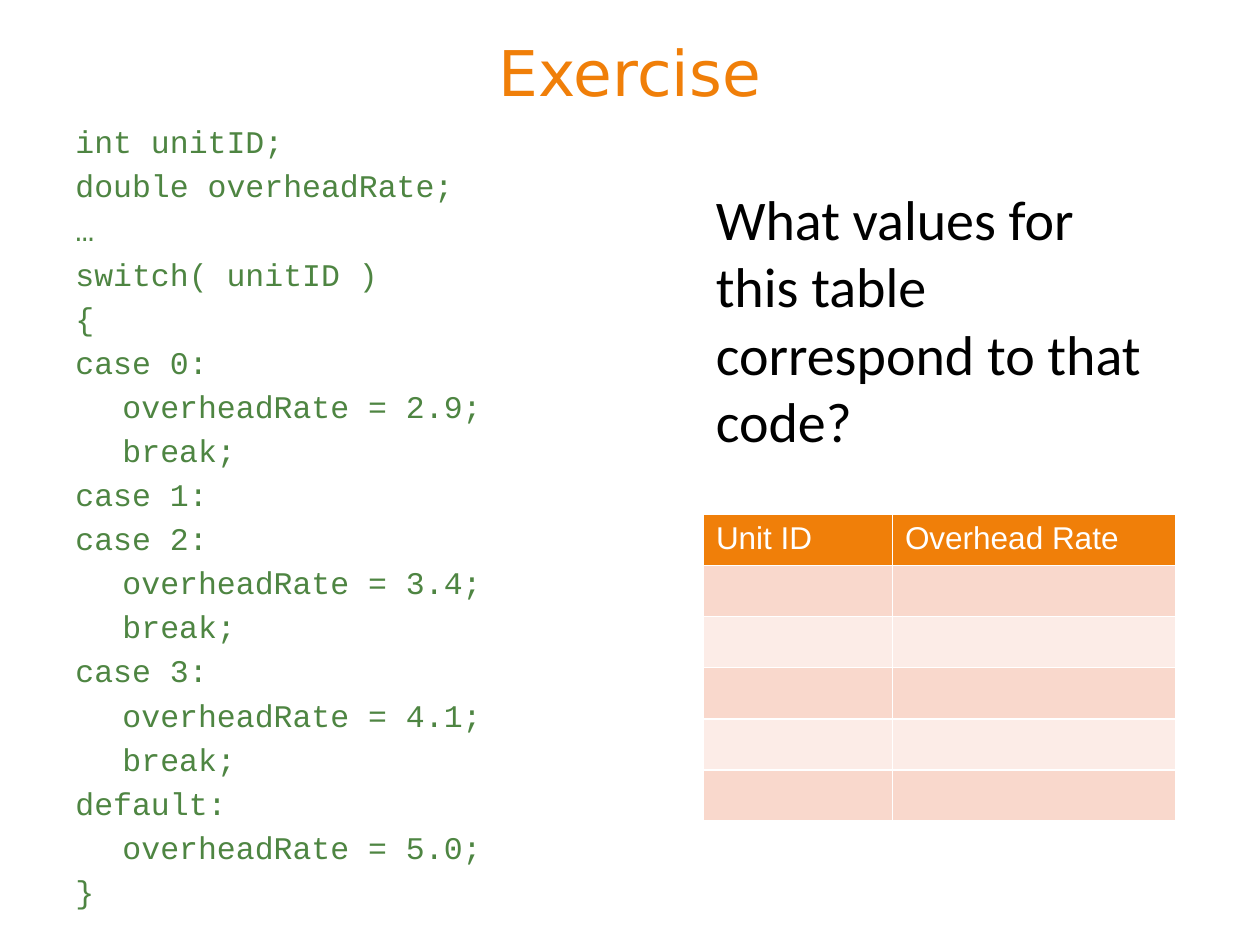
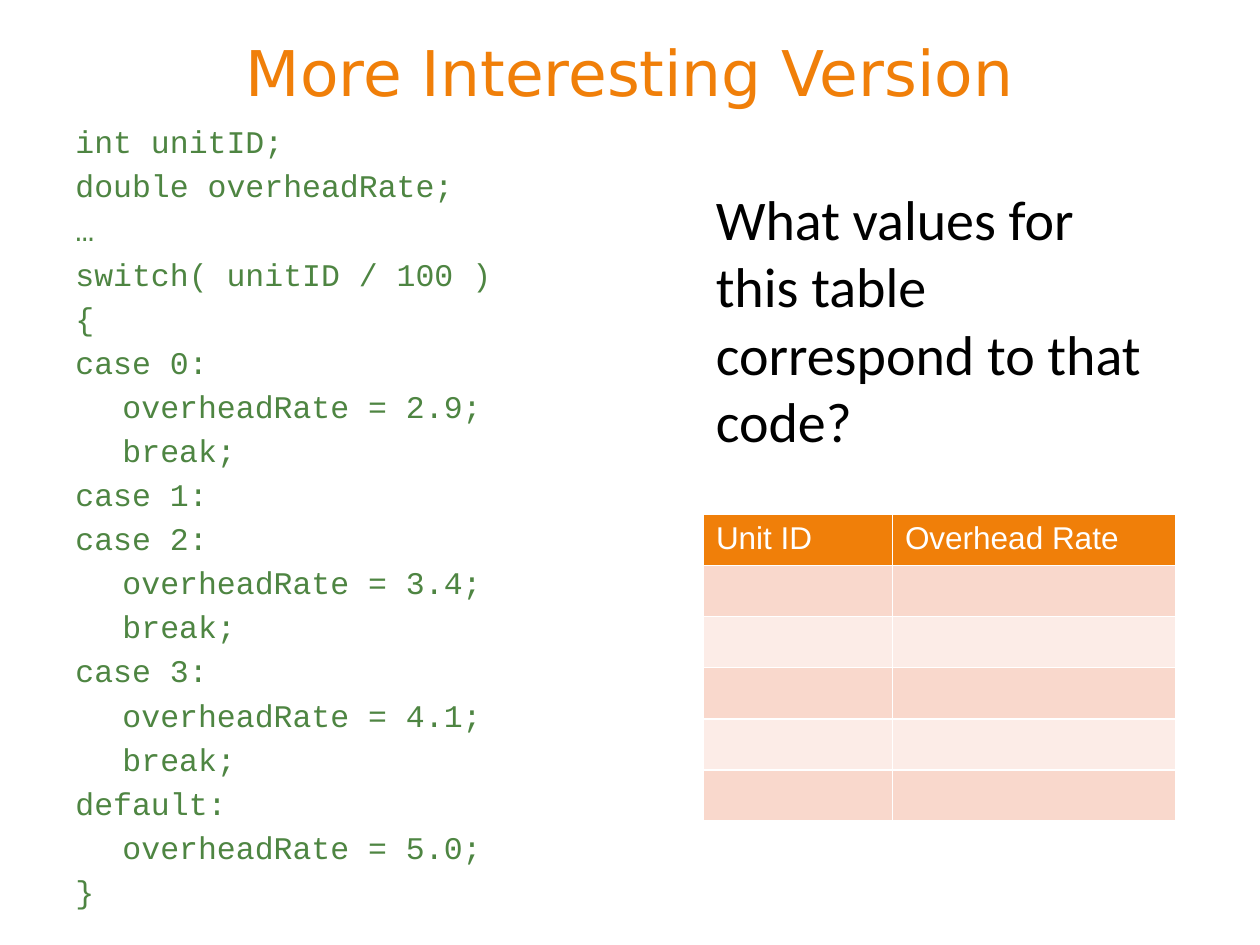
from lxml import etree
from pptx import Presentation
from pptx import util as u
from pptx.dml.color import RGBColor
from pptx.enum import text
from pptx.oxml.ns import qn

ORANGE = RGBColor(0xF0, 0x7F, 0x09)
GREEN = RGBColor(0x4E, 0x85, 0x42)
DARK_BAND = RGBColor(0xF9, 0xD8, 0xCC)
LIGHT_BAND = RGBColor(0xFC, 0xEC, 0xE7)
WHITE = RGBColor(0xFF, 0xFF, 0xFF)
BLACK = RGBColor(0x00, 0x00, 0x00)

RIGHT_COLUMN_LEFT = u.Cm(14.18)
HEADINGS = ["Unit ID", "Overhead Rate"]
COLUMN_WIDTHS = [u.Cm(3.81), u.Cm(5.72)]
ROW_COUNT = 6
ROW_HEIGHT = u.Cm(1.03)
QUESTION = "What values for this table correspond to that code?"
CODE_SIZE = 18
CODE_INDENT = u.Cm(0.95)

CODE = """int unitID;
double overheadRate;
…
switch( {selector} )
{{
case 0:
\toverheadRate = 2.9;
\tbreak;
case 1:
case 2:
\toverheadRate = 3.4;
\tbreak;
case 3:
\toverheadRate = 4.1;
\tbreak;
default:
\toverheadRate = 5.0;
}}"""


def set_font(paragraph, name, size, color):
    paragraph.font.name = name
    paragraph.font.size = u.Pt(size)
    paragraph.font.color.rgb = color


def set_title(slide, title):
    shape = slide.shapes.title
    shape.left, shape.top = u.Cm(1.27), u.Cm(0.76)
    shape.width, shape.height = u.Cm(22.86), u.Cm(1.35)
    frame = shape.text_frame
    frame.text = title
    frame.auto_size = text.MSO_AUTO_SIZE.NONE
    frame.vertical_anchor = text.MSO_ANCHOR.MIDDLE
    paragraph = frame.paragraphs[0]
    paragraph.alignment = text.PP_ALIGN.CENTER
    set_font(paragraph, "DejaVu Sans", 36, ORANGE)


def add_text_frame(slide, left, top, width, height):
    frame = slide.shapes.add_textbox(left, top, width, height).text_frame
    frame.word_wrap = True
    return frame


def add_code(slide, selector):
    frame = add_text_frame(slide, u.Cm(1.27), u.Cm(2.34), u.Cm(11.43), u.Cm(15.24))
    for index, line in enumerate(CODE.format(selector=selector).split("\n")):
        paragraph = frame.add_paragraph() if index else frame.paragraphs[0]
        paragraph.text = line
        # A hanging indent, so that a tab reaches the indented level
        properties = paragraph._p.get_or_add_pPr()
        properties.set("marL", str(CODE_INDENT))
        properties.set("indent", str(-CODE_INDENT))
        if index:
            paragraph.space_before = u.Pt(0.2 * CODE_SIZE)
        set_font(paragraph, "Courier New", CODE_SIZE, GREEN)


def add_question(slide):
    frame = add_text_frame(slide, RIGHT_COLUMN_LEFT, u.Cm(3.6), sum(COLUMN_WIDTHS), u.Cm(5.74))
    frame.text = QUESTION
    frame.auto_size = text.MSO_AUTO_SIZE.SHAPE_TO_FIT_TEXT
    set_font(frame.paragraphs[0], "Calibri", 32, BLACK)


def set_borders(cell):
    properties = cell._tc.get_or_add_tcPr()
    for side in "LRTB":
        line = etree.SubElement(properties, qn("a:ln" + side), w=str(u.Pt(1)))
        fill = etree.SubElement(line, qn("a:solidFill"))
        etree.SubElement(fill, qn("a:srgbClr"), val=str(WHITE))


def add_rate_table(slide):
    table = slide.shapes.add_table(
        ROW_COUNT, len(HEADINGS), RIGHT_COLUMN_LEFT, u.Cm(10.37),
        sum(COLUMN_WIDTHS), ROW_HEIGHT * ROW_COUNT).table
    for column, width in zip(table.columns, COLUMN_WIDTHS):
        column.width = width
    for row_index, row in enumerate(table.rows):
        row.height = ROW_HEIGHT
        is_header = row_index == 0
        band = DARK_BAND if row_index % 2 else LIGHT_BAND
        for cell, heading in zip(row.cells, HEADINGS):
            set_borders(cell)
            cell.fill.solid()
            cell.fill.fore_color.rgb = ORANGE if is_header else band
            if is_header:
                cell.text = heading
                paragraph = cell.text_frame.paragraphs[0]
                set_font(paragraph, "Arial", 18, WHITE)
                paragraph.font.bold = False


def add_exercise_slide(presentation, title, selector):
    slide = presentation.slides.add_slide(presentation.slide_layouts[5])
    set_title(slide, title)
    add_code(slide, selector)
    add_rate_table(slide)
    add_question(slide)


def main():
    presentation = Presentation()
    presentation.slide_width = u.Cm(25.4)
    presentation.slide_height = u.Cm(19.05)
    add_exercise_slide(presentation, "Exercise", "unitID")
    add_exercise_slide(presentation, "More Interesting Version", "unitID / 100")
    presentation.save("out.pptx")


if __name__ == "__main__":
    main()
